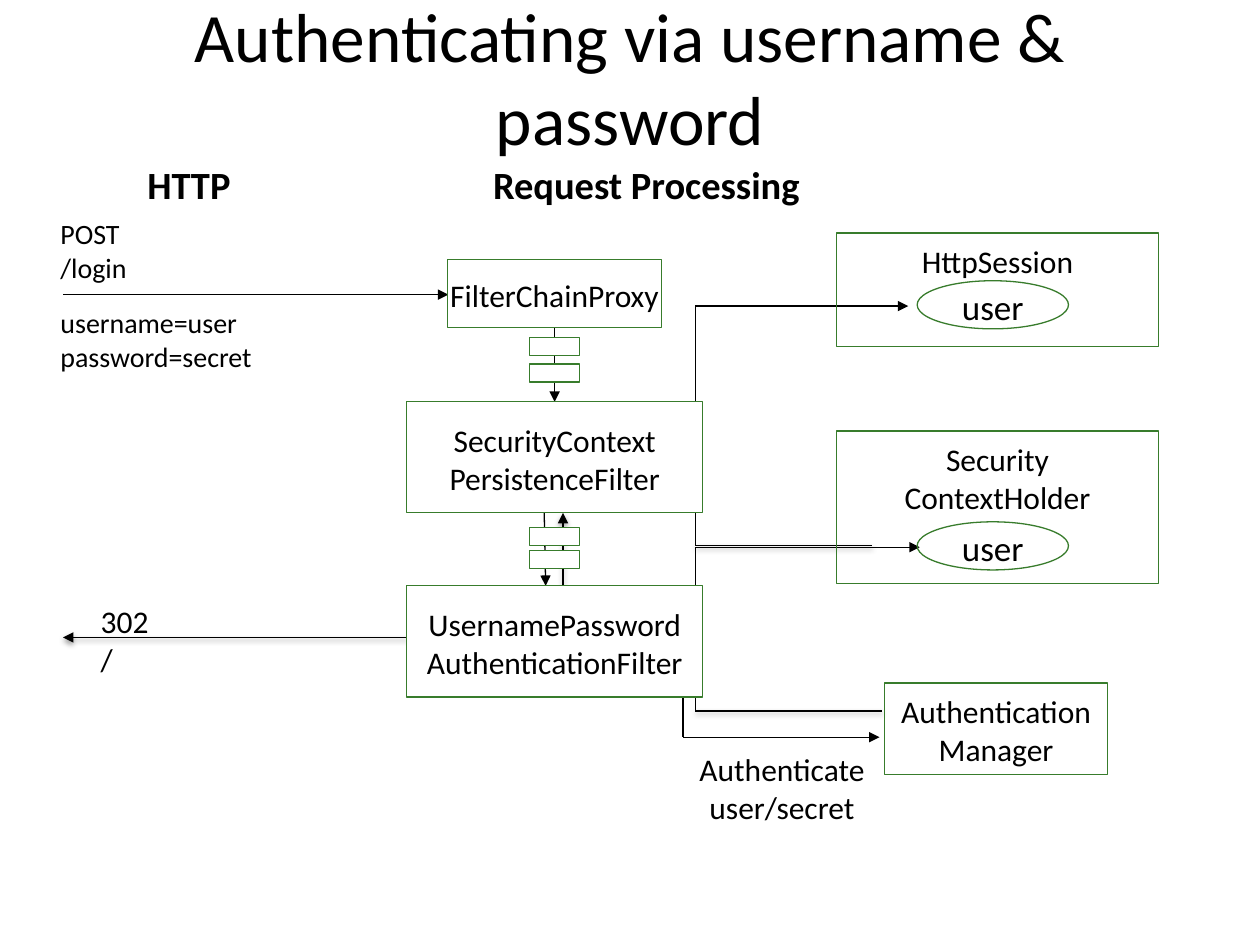
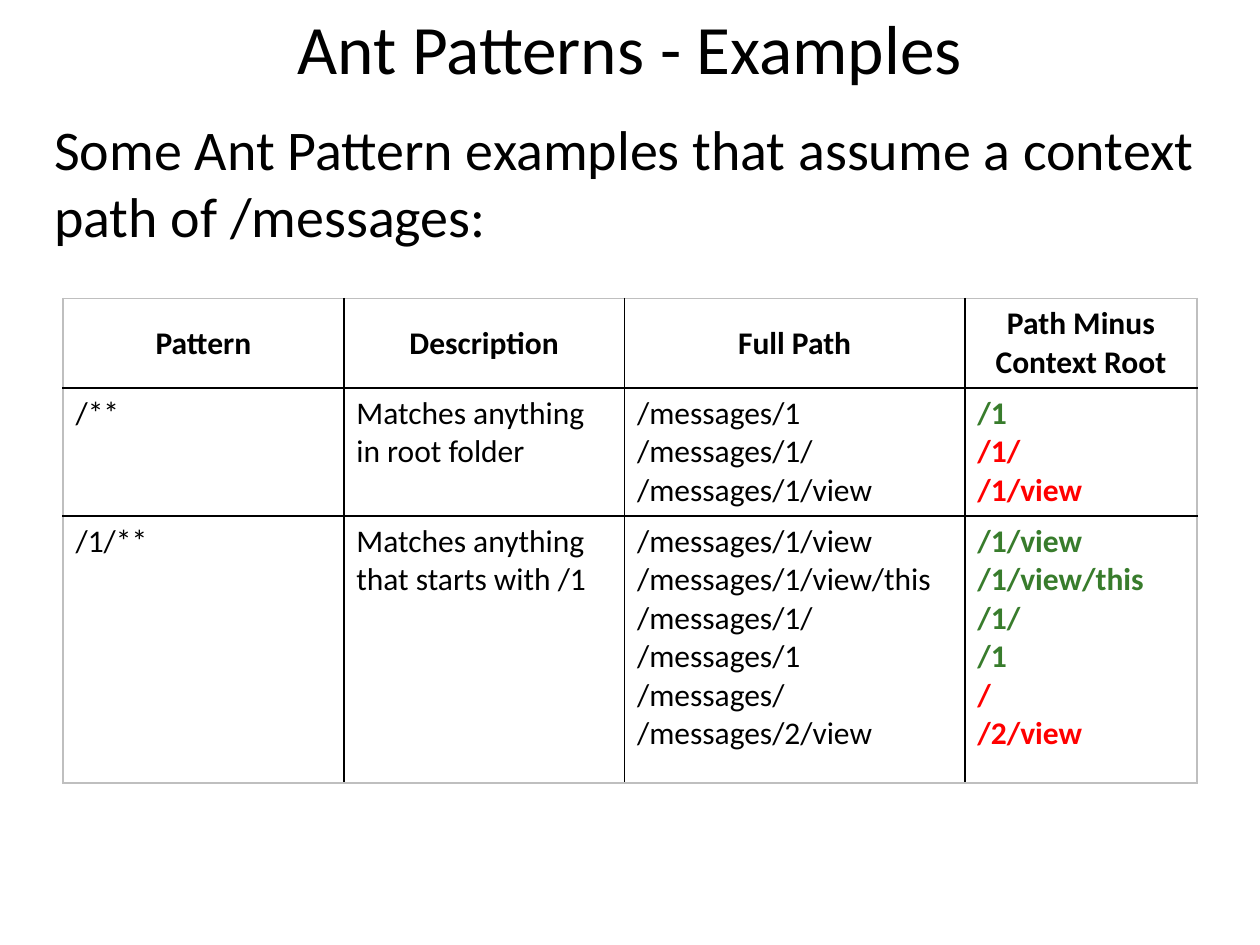
import pptx
import pptx.util
import pptx.dml.color
import pptx.enum.shapes
import pptx.enum.text
import pptx.oxml.ns
from lxml import etree

Cm, Pt = pptx.util.Cm, pptx.util.Pt
qn = pptx.oxml.ns.qn
SHAPE = pptx.enum.shapes.MSO_SHAPE
ALIGN = pptx.enum.text.PP_ALIGN
ANCHOR = pptx.enum.text.MSO_ANCHOR

FACE = "Calibri"
BLACK, WHITE, GREEN, RED, GREY = "000000", "FFFFFF", "387C2C", "FF0000", "BFBFBF"
INSETS = (0.25, 0.18, 0.25, 0.13)

FLOW = "Authenticating via username & password"
HEADS = [
    ("HTTP", 1.27, 3.12, 5.08, 1.12),
    ("Request Processing", 7.57, 3.12, 10.92, 1.12),
]
NOTES = [
    ("POST\n/login", 0.97, 4.19, 6.81, 1.52, 16, ALIGN.LEFT, True),
    ("username=user\npassword=secret", 0.97, 5.99, 6.81, 1.52, 16, ALIGN.LEFT, True),
    ("Authenticate\nuser/secret", 13.82, 14.94, 3.89, 1.8, 18, ALIGN.CENTER, False),
    ("302\n/", 1.78, 11.96, 1.5, 1.8, 18, ALIGN.LEFT, False),
]
FILTERS = [
    ("FilterChainProxy", 9.02, 5.23, 4.32, 1.37),
    ("SecurityContext\nPersistenceFilter", 8.2, 8.1, 5.97, 2.24),
    ("UsernamePassword\nAuthenticationFilter", 8.2, 11.81, 5.97, 2.24),
]
STORES = [
    ("HttpSession", 16.87, 4.7, 6.48, 2.29),
    ("Security\nContextHolder", 16.87, 8.69, 6.48, 3.07),
    ("Authentication\vManager", 17.83, 13.77, 4.5, 1.85),
]
STEPS = [6.81, 7.34, 10.64, 11.1]
USERS = [5.66, 10.52]
ROUTES = [
    ([(14.02, 11), (14.02, 6.17), (18.31, 6.17)], True, False),
    ([(14.02, 11), (17.58, 11)], False, True),
    ([(11.35, 11.81), (11.35, 10.34)], True, True),
    ([(10.97, 10.31), (11, 11.81)], True, False),
    ([(1.27, 5.94), (9.04, 5.94)], True, False),
    ([(11.18, 6.6), (11.18, 8.1)], True, False),
    ([(13.77, 14.02), (13.77, 14.86), (17.73, 14.86)], True, False),
    ([(14.02, 14.33), (14.02, 11.03), (18.54, 11.03)], True, False),
    ([(14.02, 14.33), (17.78, 14.33)], False, True),
    ([(8.2, 12.85), (1.27, 12.85)], True, True),
]

ANT = "Ant Patterns - Examples"
INTRO = "Some Ant Pattern examples that assume a context path of /messages:"
COLS = [5.66, 5.66, 6.86, 4.68]
ROWS = [1.02, 2.49, 5.38]
TABLE = [
    ["Pattern", "Description", "Full Path", "Path Minus Context Root"],
    ["/**", "Matches anything in root folder",
     "/messages/1\n/messages/1/\n/messages/1/view", "/1\n/1/\n/1/view"],
    ["/1/**", "Matches anything that starts with /1",
     "/messages/1/view\n/messages/1/view/this\n/messages/1/\n/messages/1\n"
     "/messages/\n/messages/2/view",
     "/1/view\n/1/view/this\n/1/\n/1\n/\n/2/view"],
]
HITS = [0, 1, 4]


def tint(code):
    return pptx.dml.color.RGBColor.from_string(code)


def style(item, **vals):
    for key, val in vals.items():
        setattr(item, key, val)


def place(shape, *box):
    style(shape, **dict(zip(("left", "top", "width", "height"), map(Cm, box))))


def write(frame, text, size, align=ALIGN.CENTER, bold=False, color=BLACK):
    frame.text = text
    for para in frame.paragraphs:
        para.alignment = align
        for run in para.runs:
            style(run.font, name=FACE, size=Pt(size), bold=bold)
            run.font.color.rgb = tint(color)


def pad(frame, wrap, anchor):
    sides = ("margin_left", "margin_top", "margin_right", "margin_bottom")
    style(frame, word_wrap=wrap, vertical_anchor=anchor,
          auto_size=pptx.enum.text.MSO_AUTO_SIZE.NONE,
          **dict(zip(sides, map(Cm, INSETS))))


def title(slide, text, top):
    head = slide.shapes.title
    place(head, 0.84, top, 23.72, 0.91)
    write(head.text_frame, text, 39.6)
    style(head.text_frame, vertical_anchor=ANCHOR.MIDDLE, word_wrap=True,
          auto_size=pptx.enum.text.MSO_AUTO_SIZE.NONE)


def node(slide, kind, box, text="", size=18, anchor=ANCHOR.MIDDLE, fill=True):
    shape = slide.shapes.add_shape(kind, *map(Cm, box))
    shape.shadow.inherit = False
    if fill:
        shape.fill.solid()
        shape.fill.fore_color.rgb = tint(WHITE)
    else:
        shape.fill.background()
    shape.line.color.rgb = tint(GREEN)
    shape.line.width = Pt(0.75)
    if text:
        pad(shape.text_frame, False, anchor)
        write(shape.text_frame, text, size)


def label(slide, box, text, size, align, wrap=True, anchor=ANCHOR.TOP, bold=False):
    frame = slide.shapes.add_textbox(*map(Cm, box)).text_frame
    pad(frame, wrap, anchor)
    write(frame, text, size, align, bold)


def link(slide, start, end, arrow, shade):
    line = slide.shapes.add_connector(
        pptx.enum.shapes.MSO_CONNECTOR.STRAIGHT, *map(Cm, start + end))
    line.line.color.rgb = tint(BLACK)
    line.line.width = Pt(0.75)
    if arrow:
        etree.SubElement(line.line._get_or_add_ln(), qn("a:tailEnd"), type="triangle")
    fx = etree.SubElement(line._element.spPr, qn("a:effectLst"))
    if shade:
        cast = etree.SubElement(fx, qn("a:outerShdw"), blurRad=str(Pt(3.1)),
                                dist=str(Pt(1.6)), dir="5400000", rotWithShape="0")
        hue = etree.SubElement(cast, qn("a:srgbClr"), val=BLACK)
        etree.SubElement(hue, qn("a:alpha"), val="38000")


def edge(cell, row, col):
    outer = {"L": col == 0, "R": col == len(COLS) - 1,
             "T": row == 0, "B": row == len(ROWS) - 1}
    props = cell._tc.get_or_add_tcPr()
    for spot, (side, rim) in enumerate(outer.items()):
        line = etree.Element(qn("a:ln" + side), w=str(Pt(1)))
        fill = etree.SubElement(line, qn("a:solidFill"))
        etree.SubElement(fill, qn("a:srgbClr"), val=GREY if rim else BLACK)
        props.insert(spot, line)


deck = pptx.Presentation()
style(deck, slide_width=Cm(25.4), slide_height=Cm(19.05))

flow = deck.slides.add_slide(deck.slide_layouts[5])
title(flow, FLOW, 1.09)
for points, arrow, shade in ROUTES:
    for num, (start, end) in enumerate(zip(points, points[1:]), 2):
        link(flow, start, end, arrow and num == len(points), shade)
for text, *box in FILTERS:
    node(flow, SHAPE.RECTANGLE, box, text)
for text, *box in STORES:
    node(flow, SHAPE.RECTANGLE, box, text, anchor=ANCHOR.TOP, fill=False)
for top in STEPS:
    node(flow, SHAPE.RECTANGLE, (10.67, top, 1.02, 0.36))
for top in USERS:
    node(flow, SHAPE.OVAL, (18.49, top, 3.05, 0.97), "user", 20, fill=False)
for text, *box in HEADS:
    label(flow, box, text, 22, ALIGN.CENTER, anchor=ANCHOR.MIDDLE, bold=True)
for text, left, top, width, height, size, align, wrap in NOTES:
    label(flow, (left, top, width, height), text, size, align, wrap)

ant = deck.slides.add_slide(deck.slide_layouts[1])
title(ant, ANT, 0.48)
body = ant.placeholders[1]
place(body, 0.84, 2.18, 23.72, 13.92)
write(body.text_frame, INTRO, 32, ALIGN.LEFT)
props = body.text_frame.paragraphs[0]._p.get_or_add_pPr()
props.set("marL", "0")
props.set("indent", "0")
etree.SubElement(props, qn("a:buNone"))

grid = ant.shapes.add_table(len(ROWS), len(COLS), Cm(1.27), Cm(6.02),
                            Cm(sum(COLS)), Cm(sum(ROWS))).table
style(grid, first_row=False, horz_banding=False)
for col, width in zip(grid.columns, COLS):
    col.width = Cm(width)
for r, (row, height) in enumerate(zip(TABLE, ROWS)):
    grid.rows[r].height = Cm(height)
    for c, text in enumerate(row):
        cell = grid.cell(r, c)
        cell.fill.solid()
        cell.fill.fore_color.rgb = tint(WHITE)
        edge(cell, r, c)
        last = c == len(COLS) - 1
        write(cell.text_frame, text, 18, ALIGN.LEFT if r else ALIGN.CENTER,
              r == 0 or last)
        cell.vertical_anchor = ANCHOR.TOP if r else ANCHOR.MIDDLE
        if r and last:
            for n, para in enumerate(cell.text_frame.paragraphs):
                para.runs[0].font.color.rgb = tint(GREEN if n < HITS[r] else RED)

deck.save("out.pptx")
